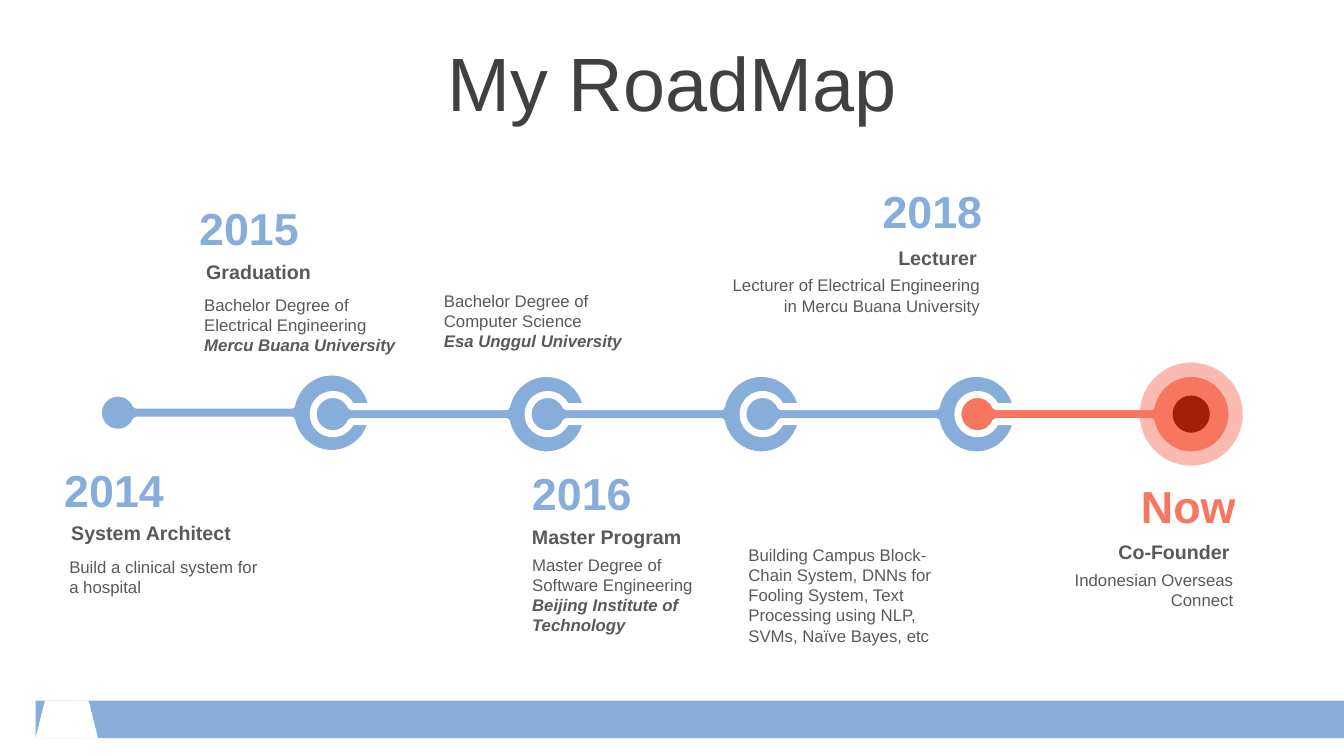
from lxml import etree
from pptx import Presentation
from pptx.dml.color import RGBColor
from pptx.enum.shapes import MSO_SHAPE as Preset
from pptx.enum.text import MSO_ANCHOR as Anchor, PP_ALIGN as Align
from pptx.oxml.ns import qn
from pptx.util import Pt

BLUE, CORAL, DARK_RED = "87ADDB", "F77660", "A31F08"
WHITE, TITLE_GREY, TEXT_GREY = "FFFFFF", "404040", "595959"
BODY_INSETS = (7.2, 3.6, 7.2, 3.6)
HEADING_INSETS = (8.5, 3.6, 8.5, 3.6)
YEAR_INSETS = (8.5, 0, 0, 0)

# Track: first link's left edge, axis, link pitch, and centre of the large disc
TRACK_LEFT, TRACK_Y, PITCH, DISC_X = 70.2, 295.8, 153.5, 166.7
# Upper half of a link, from the right end of its axis to the left end
UPPER_HALF = [
    (195.8, 0),
    (195.8, -16.1), (182.8, -29.1), (DISC_X, -29.1),
    (152.6, -29.1), (140.9, -19), (138.1, -5.4),
    (27, -5.4),
    (24.9, -10.6), (19.9, -14), (14, -14),
    (6.3, -14), (0, -7.7), (0, 0),
]
LOWER_HALF = [(x, -y) for x, y in reversed(UPPER_HALF)]
# Points per segment of the outline: 3 make a curve, 1 a straight line
SEGMENT_SIZES = [3, 3, 1, 3, 3] * 2

# Year, colour, heading, body paragraphs, left, width, tops of the three rows,
# shifts of year and heading, alignment
MILESTONES = [
    ("2014", BLUE, "System Architect",
     [[("Build a clinical system for a hospital", False)]],
     42.4, 156.2, (330.5, 368.6, 393.8), (-5, 0), Align.LEFT),
    ("2015", BLUE, "Graduation",
     [[("Bachelor Degree of Electrical Engineering", False)],
      [("Mercu Buana University", True)]],
     138.8, 156.2, (143.6, 182.2, 206.9), (-5, 0), Align.LEFT),
    ("2016", BLUE, "Master Program",
     [[("Master Degree of Software Engineering ", False),
       ("Beijing Institute of Technology", True)]],
     373, 153.4, (332.6, 371.5, 392.4), (-1.5, -1.5), Align.LEFT),
    ("2018", BLUE, "Lecturer",
     [[("Lecturer of Electrical Engineering in Mercu Buana University", False)]],
     511.3, 195.8, (131, 172, 193), (-5.5, -0.8), Align.RIGHT),
    ("Now", CORAL, "Co-Founder",
     [[("Indonesian Overseas Connect", False)]],
     731.9, 156.2, (341.6, 382.3, 403.2), (-5.5, -1.2), Align.RIGHT),
]
# Body paragraphs and box of the texts that have no year
NOTES = [
    ([[("Bachelor Degree of Computer Science", False)],
      [("Esa Unggul University", True)]], (310, 203.8, 156.2, 51)),
    ([[("Building Campus Block-Chain System, DNNs for Fooling System, "
        "Text Processing using NLP, SVMs, Naïve Bayes, etc", False)]],
     (527.5, 385.5, 153.4, 80)),
]


def rgb(color):
    return RGBColor.from_string(color)


def paint(shape, fill, line=None, weight=0, opacity=None):
    shape.shadow.inherit = False
    shape.fill.solid()
    shape.fill.fore_color.rgb = rgb(fill)
    if line:
        shape.line.color.rgb = rgb(line)
        shape.line.width = Pt(weight)
    else:
        shape.line.fill.background()
    if opacity:
        tint = shape.fill._xPr.find(qn("a:solidFill"))[0]
        etree.SubElement(tint, qn("a:alpha")).set("val", str(opacity * 1000))


def add_preset(page, preset, box, fill, opacity=None):
    shape = page.shapes.add_shape(preset, *map(Pt, box))
    paint(shape, fill, opacity=opacity)


def add_text(page, box, paragraphs, size, color, insets=BODY_INSETS,
             align=Align.LEFT, bold=None, anchor=Anchor.TOP):
    """Each paragraph is a list of (text, emphasised) pairs."""
    frame = page.shapes.add_textbox(*map(Pt, box)).text_frame
    frame.word_wrap = True
    frame.vertical_anchor = anchor
    (frame.margin_left, frame.margin_top,
     frame.margin_right, frame.margin_bottom) = map(Pt, insets)
    for index, pieces in enumerate(paragraphs):
        para = frame.add_paragraph() if index else frame.paragraphs[0]
        para.alignment = align
        para.font.name, para.font.size = "Arial", Pt(size)
        para.font.bold = bold
        para.font.color.rgb = rgb(color)
        for text, emphasised in pieces:
            span = para.add_run()
            span.text = text
            if emphasised:
                span.font.bold = span.font.italic = True


def add_milestone(page, year, color, heading, body, left, width, tops, shifts, align):
    year_top, heading_top, body_top = tops
    year_shift, heading_shift = shifts
    add_text(page, (left, body_top, width, 36), body, 12, TEXT_GREY, align=align)
    add_text(page, (left + heading_shift, heading_top, width, 24.5),
             [[(heading, False)]], 14, TEXT_GREY, HEADING_INSETS, align, True)
    add_text(page, (left + year_shift, year_top, width, 39),
             [[(year, False)]], 32, color, YEAR_INSETS, align, True)


def bend(shape, sizes):
    """Turn each group of three straight segments into one curve."""
    segments = iter(list(shape._element.iter(qn("a:lnTo"))))
    for size in sizes:
        group = [next(segments) for _ in range(size)]
        if size == 3:
            curve = etree.Element(qn("a:cubicBezTo"))
            group[0].addprevious(curve)
            for segment in group:
                curve.append(segment[0])
                segment.getparent().remove(segment)


def add_link(page, left, y, color):
    """A small dot joined by a stem to a large disc on its right."""
    outline = [(Pt(left + dx), Pt(y + dy)) for dx, dy in UPPER_HALF + LOWER_HALF[1:]]
    builder = page.shapes.build_freeform(*outline[0])
    builder.add_line_segments(outline[1:], close=True)
    link = builder.convert_to_shape()
    bend(link, SEGMENT_SIZES)
    paint(link, color, WHITE, 5)


def add_track(page, left, y):
    for index, color in enumerate([BLUE] * 4 + [CORAL]):
        lift = 0 if index else 1
        add_link(page, left + index * PITCH, y - lift, color)
    # Target around the last disc
    center = left + 4 * PITCH + DISC_X
    for radius, color, opacity in ((36.8, CORAL, 50), (13.3, DARK_RED, None)):
        add_preset(page, Preset.OVAL, (center - radius, y - radius,
                                       2 * radius, 2 * radius), color, opacity)


def add_footer(page, left, top, width, height):
    add_preset(page, Preset.RECTANGLE, (left, top, width, height), BLUE)
    # Plain emblem
    add_preset(page, Preset.TRAPEZOID, (left, top, 44.6, height), WHITE)


def main():
    deck = Presentation()
    deck.slide_width, deck.slide_height = Pt(960), Pt(540)
    page = deck.slides.add_slide(deck.slide_layouts[6])

    add_footer(page, 25.4, 500.4, 934.6, 26.8)
    add_text(page, (0, 26.6, 960, 62.6), [[("My RoadMap", False)]], 54,
             TITLE_GREY, align=Align.CENTER, anchor=Anchor.MIDDLE)
    add_track(page, TRACK_LEFT, TRACK_Y)
    for milestone in MILESTONES:
        add_milestone(page, *milestone)
    for body, box in NOTES:
        add_text(page, box, body, 12, TEXT_GREY)

    deck.save("out.pptx")


if __name__ == "__main__":
    main()
